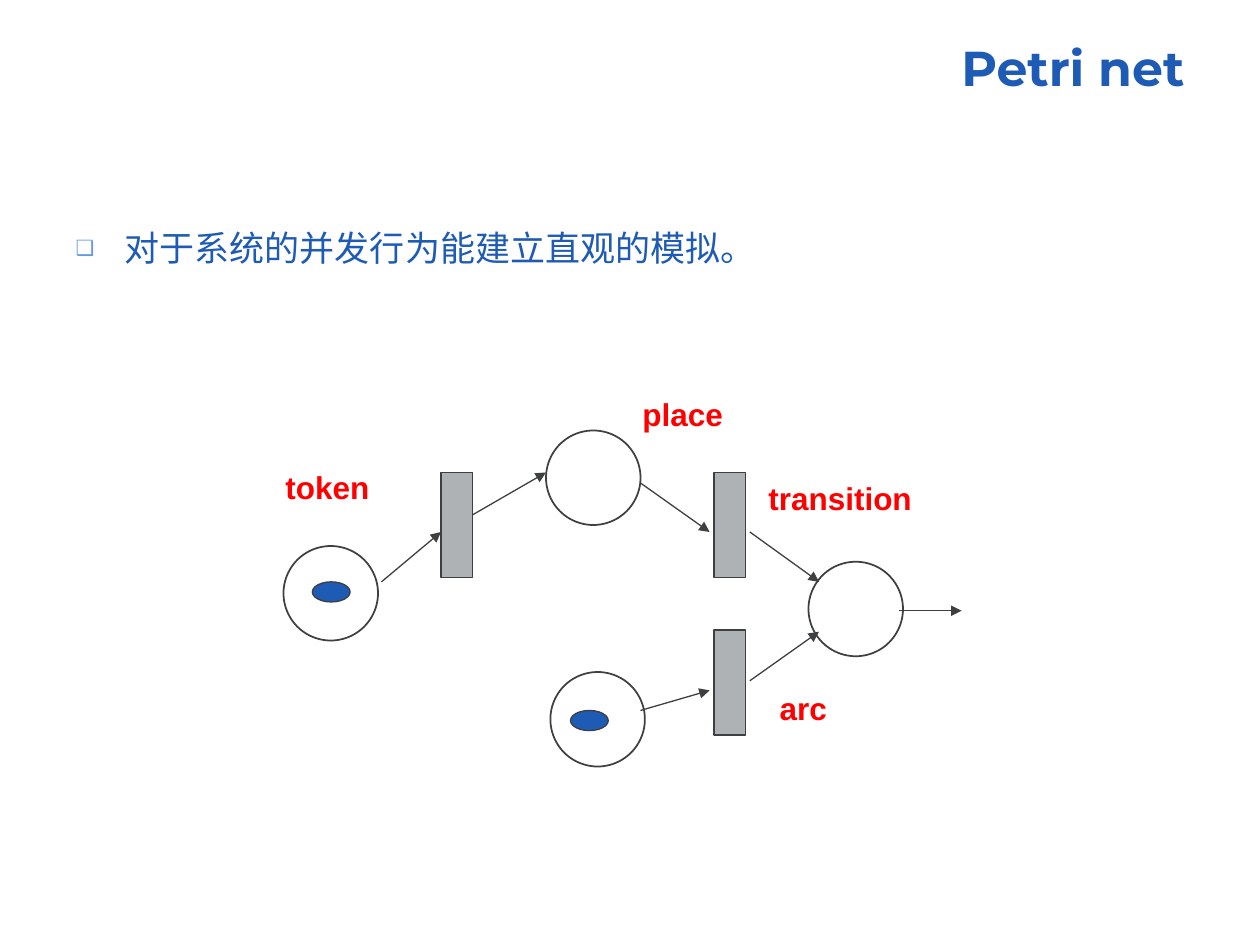
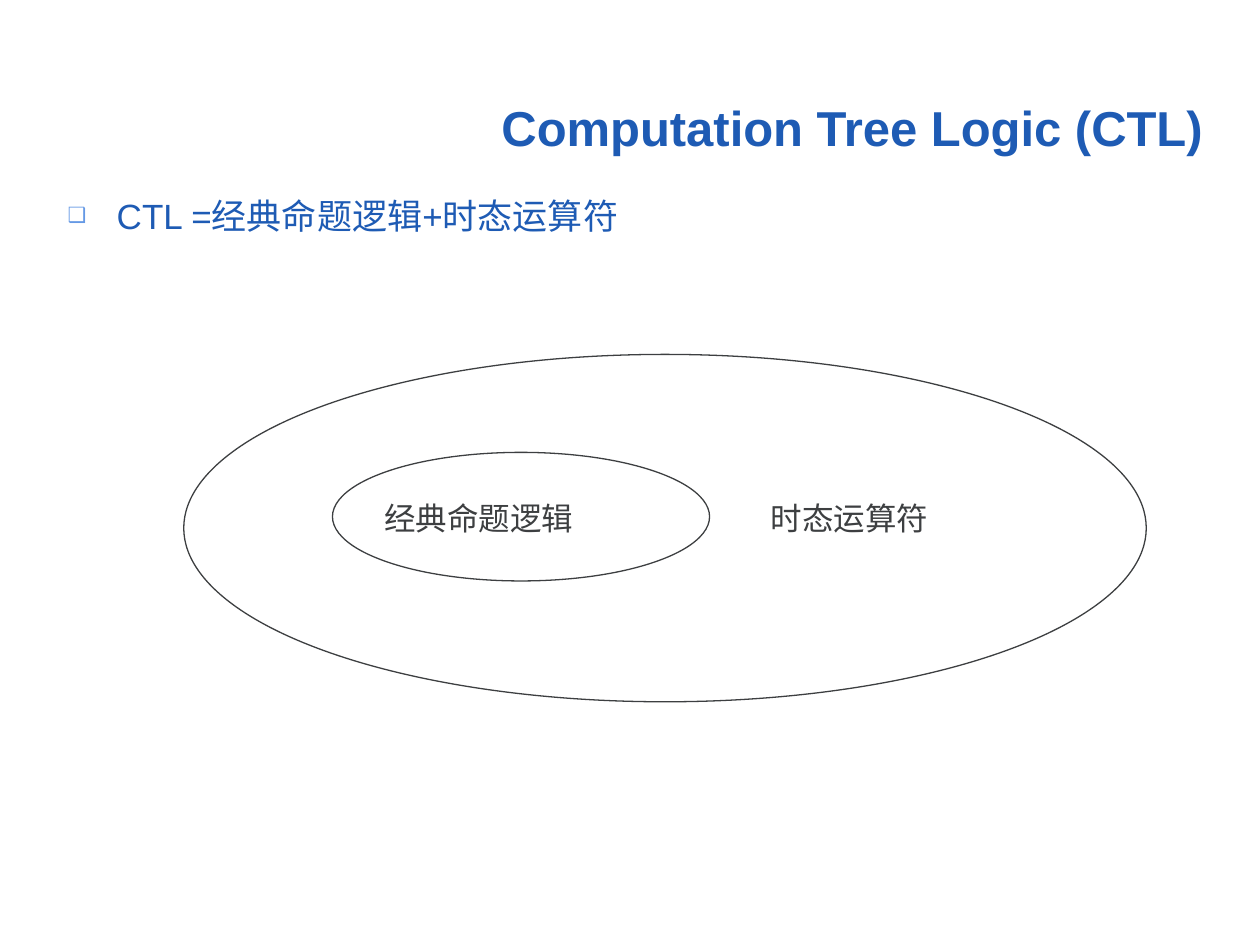
from lxml import etree
from pptx import Presentation
from pptx.dml.color import RGBColor
from pptx.enum.shapes import MSO_CONNECTOR, MSO_SHAPE
from pptx.enum.text import MSO_ANCHOR as ANCHOR, MSO_AUTO_SIZE as AUTO_SIZE, PP_ALIGN as ALIGN
from pptx.oxml.ns import qn
from pptx.util import Pt

BLUE, LIGHT_BLUE, RED = "1E5BB4", "6599E5", "FF0000"
WHITE, GRAY, DARK = "FFFFFF", "AFB2B4", "3D3F41"
FONT = "Arial"
PLACE_SIZE, TRANSITION_SIZE, TOKEN_SIZE = (54, 54), (18, 60), (21.6, 11.5)
LABEL_HEIGHT = 29


def color(hex_string):
    return RGBColor.from_string(hex_string)


def write(shape, text, size=18, font=FONT, fill=DARK, bold=False,
          align=None, anchor=ANCHOR.TOP, wrap=True, line_spacing=None):
    """Put one formatted paragraph into the shape and return it."""
    frame = shape.text_frame
    frame.word_wrap = wrap
    frame.auto_size = AUTO_SIZE.NONE
    frame.vertical_anchor = anchor
    paragraph = frame.paragraphs[0]
    paragraph.alignment = align
    paragraph.line_spacing = line_spacing
    paragraph.space_before = Pt(0)
    run = paragraph.add_run()
    run.text = text
    run.font.size, run.font.name, run.font.bold = Pt(size), font, bold
    run.font.color.rgb = color(fill)
    return paragraph


def move(shape, left, top, width, height):
    shape.left, shape.top = Pt(left), Pt(top)
    shape.width, shape.height = Pt(width), Pt(height)


def set_bullet(paragraph):
    properties = paragraph._p.get_or_add_pPr()
    properties.set("marL", str(Pt(28)))
    properties.set("indent", str(-Pt(28)))
    bullet_color = etree.SubElement(properties, qn("a:buClr"))
    etree.SubElement(bullet_color, qn("a:srgbClr"), val=LIGHT_BLUE)
    etree.SubElement(properties, qn("a:buSzPct"), val="60000")
    etree.SubElement(properties, qn("a:buFont"), typeface=FONT)
    etree.SubElement(properties, qn("a:buChar"), char="❑")


def add_slide(presentation, title, title_box, point, point_box, **title_format):
    """Add a slide with a right-aligned title and one bulleted point."""
    slide = presentation.slides.add_slide(presentation.slide_layouts[1])
    move(slide.shapes.title, *title_box)
    write(slide.shapes.title, title, size=28, fill=BLUE, bold=True,
          align=ALIGN.RIGHT, line_spacing=0.9, **title_format)
    body = slide.placeholders[1]
    move(body, *point_box)
    set_bullet(write(body, point, size=20, fill=BLUE, align=ALIGN.JUSTIFY))
    return slide


def add_figure(slide, kind, left, top, width, height, fill=WHITE, line_width=0.75):
    shape = slide.shapes.add_shape(kind, Pt(left), Pt(top), Pt(width), Pt(height))
    shape.shadow.inherit = False
    shape.fill.solid()
    shape.fill.fore_color.rgb = color(fill)
    shape.line.color.rgb = color(DARK)
    shape.line.width = Pt(line_width)


def add_arc(slide, start, end):
    arc = slide.shapes.add_connector(
        MSO_CONNECTOR.STRAIGHT, *(Pt(value) for value in start + end))
    arc.line.color.rgb = color(DARK)
    arc.line.width = Pt(0.75)
    etree.SubElement(arc.line._get_or_add_ln(), qn("a:tailEnd"), type="triangle")
    etree.SubElement(arc._element.spPr, qn("a:effectLst"))


def add_label(slide, text, left, top, width, **text_format):
    box = slide.shapes.add_textbox(Pt(left), Pt(top), Pt(width), Pt(LABEL_HEIGHT))
    write(box, text, **text_format)


def add_petri_net(presentation):
    slide = add_slide(presentation, "Petri net", (36, 21.6, 648, 90),
                      "对于系统的并发行为能建立直观的模拟。", (36, 126, 648, 63),
                      font="Montserrat")
    for left, top in [(312, 246), (314.5, 384), (162, 312), (462, 321)]:
        add_figure(slide, MSO_SHAPE.OVAL, left, top, *PLACE_SIZE, line_width=1)
    for start, end in [
        ((218, 332.5), (252, 304)),
        ((263.5, 298), (312, 270)),
        ((366, 276), (405.5, 304)),
        ((366, 406), (405.5, 394.5)),
        ((428.5, 304), (468, 332.5)),
        ((428.5, 389), (468, 361)),
        ((513.5, 349), (549.5, 349)),
    ]:
        add_arc(slide, start, end)
    for left, top in [(252, 270), (408, 270), (408, 360)]:
        add_figure(slide, MSO_SHAPE.RECTANGLE, left, top, *TRANSITION_SIZE, fill=GRAY)
    for left, top in [(178.5, 332.5), (326, 406)]:
        add_figure(slide, MSO_SHAPE.OVAL, left, top, *TOKEN_SIZE, fill=BLUE)
    for text, left, top, width in [
        ("place", 360, 222, 60.5),
        ("arc", 438.5, 390, 41),
        ("token", 156, 264, 62),
        ("transition", 432, 270, 96.5),
    ]:
        add_label(slide, text, left, top, width, fill=RED, bold=True, wrap=False)


def add_computation_tree_logic(presentation):
    slide = add_slide(presentation, "Computation Tree Logic (CTL)", (211.5, 38, 483, 55.5),
                      "CTL =经典命题逻辑+时态运算符", (31.5, 107.5, 666, 43),
                      anchor=ANCHOR.BOTTOM)
    for box in [(105, 202.5, 550, 198.5), (190, 258.5, 215.5, 73.5)]:
        add_figure(slide, MSO_SHAPE.OVAL, *box)
    add_label(slide, "经典命题逻辑", 212.5, 281.5, 170)
    add_label(slide, "时态运算符", 433.5, 281.5, 152.5)


def main():
    presentation = Presentation()
    presentation.slide_width, presentation.slide_height = Pt(720), Pt(540)
    add_petri_net(presentation)
    add_computation_tree_logic(presentation)
    presentation.save("out.pptx")


if __name__ == "__main__":
    main()
